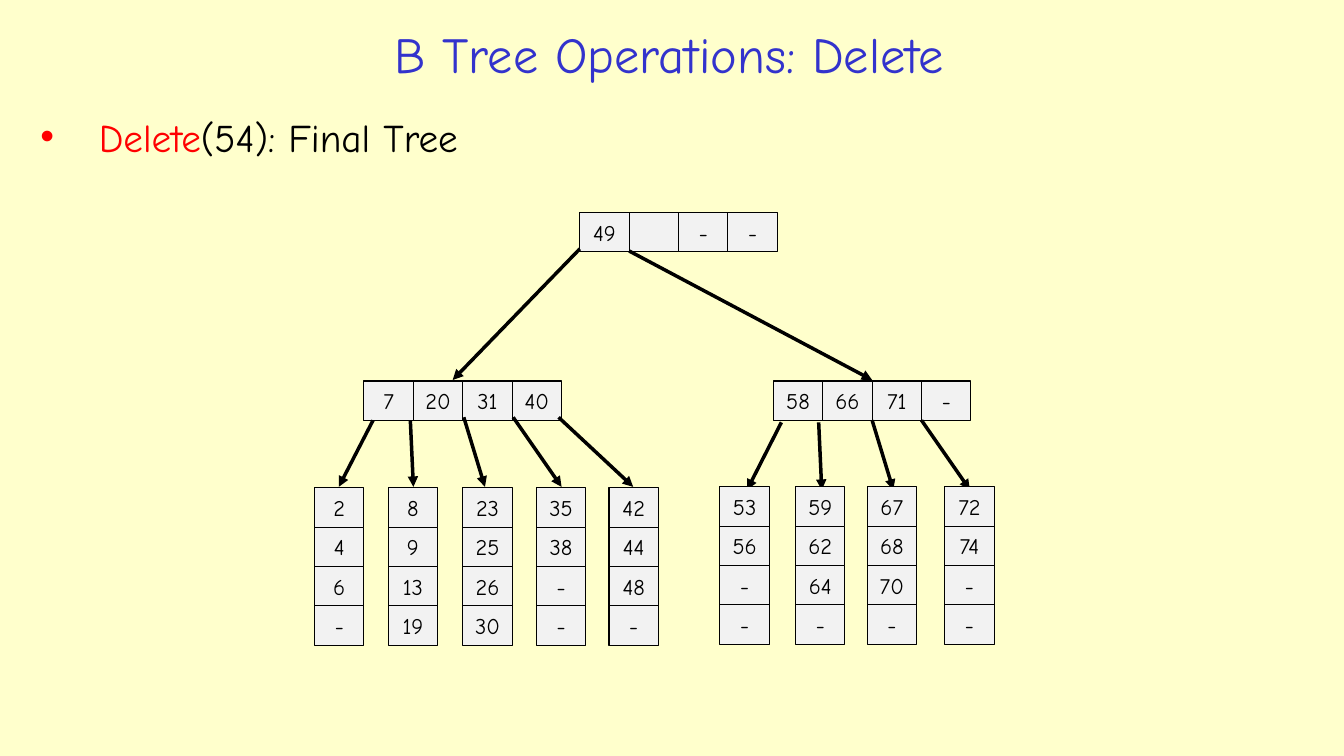
from dataclasses import dataclass

from lxml import etree
from pptx import Presentation
from pptx.dml.color import RGBColor
from pptx.enum.shapes import MSO_CONNECTOR, MSO_SHAPE
from pptx.enum.text import MSO_ANCHOR, MSO_AUTO_SIZE, PP_ALIGN
from pptx.oxml.ns import qn
from pptx.util import Pt

EMU_PER_PX = 9144  # 100 px to the inch
CELL_WIDTH, CELL_HEIGHT = 49, 39


@dataclass(frozen=True)
class Theme:
    font: str = "Comic Neue"
    background: RGBColor = RGBColor(0xFF, 0xFF, 0xCC)
    title: RGBColor = RGBColor(0x33, 0x33, 0xCC)
    accent: RGBColor = RGBColor(0xFF, 0x00, 0x00)
    ink: RGBColor = RGBColor(0x00, 0x00, 0x00)
    cell: RGBColor = RGBColor(0xF2, 0xF2, 0xF2)
    title_size: Pt = Pt(36)
    body_size: Pt = Pt(28)
    cell_size: Pt = Pt(16)
    border: Pt = Pt(0.75)
    arrow: Pt = Pt(2.5)


def px(value):
    return value * EMU_PER_PX


def apply(target, formats):
    for name, value in formats.items():
        setattr(target, name, value)


class TreeSlide:
    def __init__(self, slide, theme):
        self.slide = slide
        self.theme = theme
        slide.background.fill.solid()
        slide.background.fill.fore_color.rgb = theme.background

    def place(self, shape, left, top, width, height):
        apply(shape, {"left": px(left), "top": px(top),
                      "width": px(width), "height": px(height)})

    def add_text(self, paragraph, text, size, color):
        run = paragraph.add_run()
        run.text = text
        apply(run.font, {"name": self.theme.font, "size": size, "bold": False})
        run.font.color.rgb = color

    def title(self, text, box):
        shape = self.slide.shapes.title
        self.place(shape, *box)
        apply(shape.text_frame, {"vertical_anchor": MSO_ANCHOR.MIDDLE,
                                 "auto_size": MSO_AUTO_SIZE.NONE})
        paragraph = shape.text_frame.paragraphs[0]
        paragraph.alignment = PP_ALIGN.CENTER
        self.add_text(paragraph, text, self.theme.title_size, self.theme.title)

    def bullet(self, runs, box, indent):
        shape = self.slide.placeholders[1]
        self.place(shape, *box)
        apply(shape.text_frame, {"vertical_anchor": MSO_ANCHOR.TOP,
                                 "auto_size": MSO_AUTO_SIZE.NONE})
        paragraph = shape.text_frame.paragraphs[0]
        properties = paragraph._p.get_or_add_pPr()
        properties.set("marL", str(px(indent)))
        properties.set("indent", str(-px(indent)))
        etree.SubElement(properties, qn("a:buFont")).set("typeface", "Arial")
        etree.SubElement(properties, qn("a:buChar")).set("char", "•")
        paragraph.space_before = Pt(0)
        for text, color in runs:
            self.add_text(paragraph, text, self.theme.body_size, color)

    def cell(self, text, left, top):
        shape = self.slide.shapes.add_shape(
            MSO_SHAPE.RECTANGLE, px(left), px(top), px(CELL_WIDTH), px(CELL_HEIGHT))
        shape.shadow.inherit = False
        shape.fill.solid()
        shape.fill.fore_color.rgb = self.theme.cell
        shape.line.color.rgb = self.theme.ink
        shape.line.width = self.theme.border
        apply(shape.text_frame, {
            "margin_left": 0, "margin_right": 0, "margin_top": 0,
            "margin_bottom": 0, "vertical_anchor": MSO_ANCHOR.MIDDLE})
        if text:
            paragraph = shape.text_frame.paragraphs[0]
            paragraph.alignment = PP_ALIGN.CENTER
            self.add_text(paragraph, text, self.theme.cell_size, self.theme.ink)

    def node(self, keys, left, top, vertical=False):
        """Draw one tree node as a row of cells, or a column if vertical."""
        for index, key in enumerate(keys):
            if vertical:
                self.cell(key, left, top + index * CELL_HEIGHT)
            else:
                self.cell(key, left + index * CELL_WIDTH, top)

    def arrow(self, start, end):
        connector = self.slide.shapes.add_connector(
            MSO_CONNECTOR.STRAIGHT, *map(px, start + end))
        connector.line.color.rgb = self.theme.ink
        connector.line.width = self.theme.arrow
        line = connector.line._get_or_add_ln()
        etree.SubElement(line, qn("a:tailEnd")).set("type", "triangle")
        etree.SubElement(connector._element.spPr, qn("a:effectLst"))


INNER_NODES = [
    (["49", "", "-", "-"], 575, 211),
    (["7", "20", "31", "40"], 361, 378),
    (["58", "66", "71", "-"], 767, 378),
]
ROOT_ARROWS = [((575, 247), (449, 377)), ((624, 249), (865, 377))]
# Keys, left edge, top edge, arrow start, arrow end
LEAVES = [
    (["2", "4", "6", "-"], 312, 484, (370, 417), (336, 483)),
    (["8", "9", "13", "19"], 385, 484, (407, 417), (410, 483)),
    (["23", "25", "26", "30"], 459, 484, (460, 414), (481, 483)),
    (["35", "38", "-", "-"], 532, 484, (509, 414), (557, 483)),
    (["42", "44", "48", "-"], 604, 484, (554, 414), (628, 483)),
    (["53", "56", "-", "-"], 714, 483, (775, 419), (741, 486)),
    (["59", "62", "64", "-"], 789, 483, (812, 419), (815, 486)),
    (["67", "68", "70", "-"], 860, 483, (865, 417), (886, 486)),
    (["72", "74", "-", "-"], 937, 483, (914, 417), (962, 486)),
]


def main():
    presentation = Presentation()
    apply(presentation, {"slide_width": px(1333), "slide_height": px(750)})
    theme = Theme()
    page = TreeSlide(
        presentation.slides.add_slide(presentation.slide_layouts[1]), theme)
    page.title("B Tree Operations: Delete", (97, 15, 1133, 76))
    page.bullet([("Delete", theme.accent), ("(54): Final Tree", theme.ink)],
                (30, 107, 1267, 69), indent=58)
    for keys, left, top in INNER_NODES:
        page.node(keys, left, top)
    for start, end in ROOT_ARROWS:
        page.arrow(start, end)
    for keys, left, top, start, end in LEAVES:
        page.arrow(start, end)
        page.node(keys, left, top, vertical=True)
    presentation.save("out.pptx")


if __name__ == "__main__":
    main()
